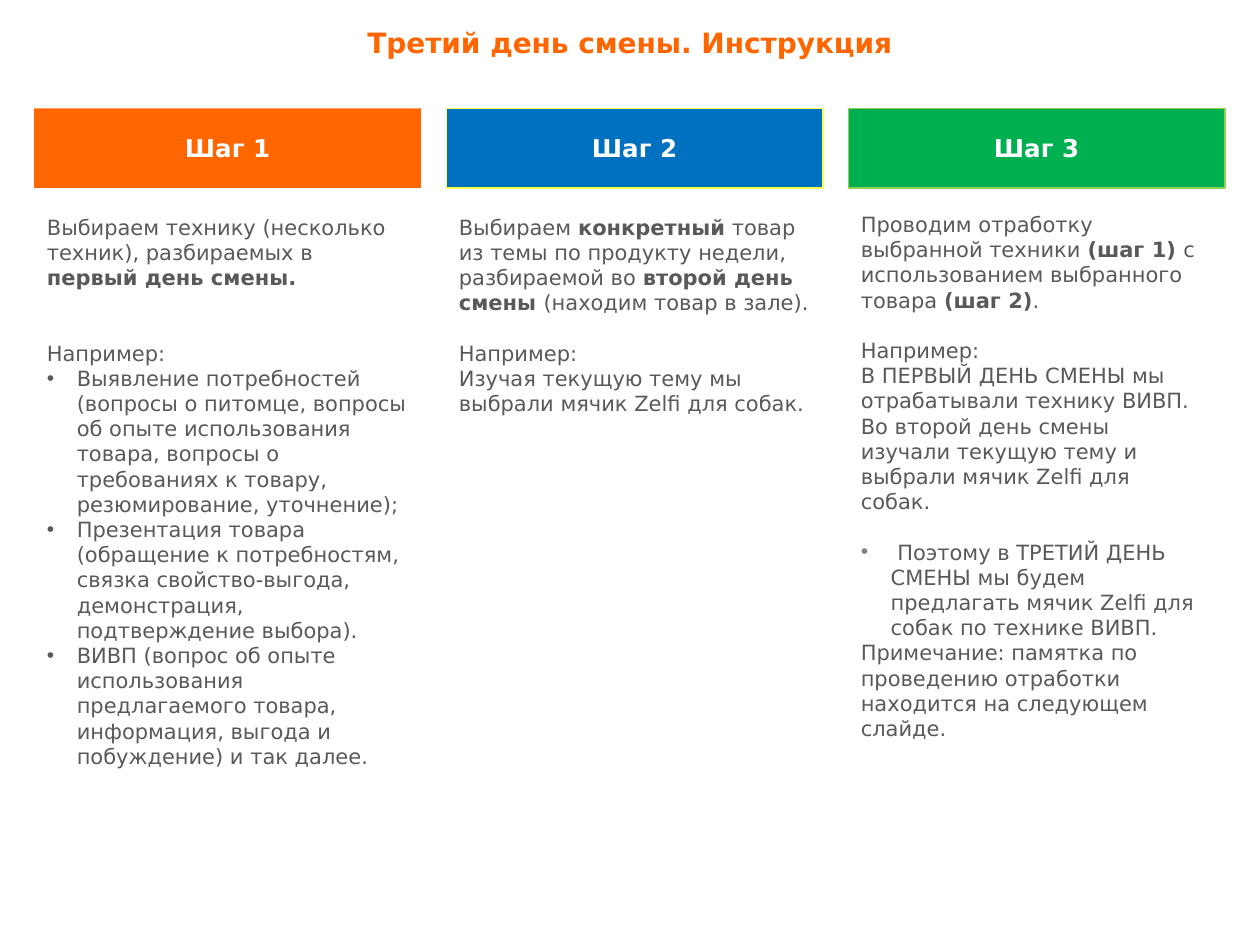
from lxml import etree
from pptx import Presentation
from pptx.dml.color import RGBColor as RGB
from pptx.enum.shapes import MSO_SHAPE as SHAPE
from pptx.enum.text import MSO_ANCHOR as ANCHOR, MSO_AUTO_SIZE as AUTO, PP_ALIGN as ALIGN
from pptx.oxml.ns import qn
from pptx.util import Pt

COLORS = {
    "orange": "FF6600", "blue": "0070C0", "green": "00B050", "yellow": "FFFF47",
    "lime": "92D050", "text": "595959", "gray": "808080", "white": "FFFFFF",
}
FONT = "DejaVu Sans"
LINE = 14.4
INDENT = 17.1


class Deck:
    def __init__(self, width, height):
        self.prs = Presentation()
        self.prs.slide_width, self.prs.slide_height = Pt(width), Pt(height)
        self.slide = self.prs.slides.add_slide(self.prs.slide_layouts[4])

    def color(self, name):
        return RGB.from_string(COLORS[name])

    def style(self, r, size, color, bold=False):
        r.font.name, r.font.size, r.font.bold = FONT, Pt(size), bold
        r.font.color.rgb = self.color(color)

    def place(self, idx, box):
        sp = next(s for s in self.slide.placeholders if s.placeholder_format.idx == idx)
        sp.left, sp.top, sp.width, sp.height = map(Pt, box)
        tf = sp.text_frame
        tf.word_wrap, tf.auto_size, tf.vertical_anchor = True, AUTO.NONE, ANCHOR.TOP
        return tf

    def title(self, text, box):
        tf = self.place(0, box)
        tf.text = text
        p = tf.paragraphs[0]
        p.alignment = ALIGN.CENTER
        self.style(p.runs[0], 16, "orange", True)

    def header(self, text, box, fill, line):
        sp = self.slide.shapes.add_shape(SHAPE.RECTANGLE, *map(Pt, box))
        sp.shadow.inherit = False
        sp.fill.solid()
        sp.fill.fore_color.rgb = self.color(fill)
        if line:
            sp.line.color.rgb = self.color(line)
            sp.line.width = Pt(0.75)
        else:
            sp.line.fill.background()
        tf = sp.text_frame
        tf.text = text
        tf.vertical_anchor = ANCHOR.MIDDLE
        p = tf.paragraphs[0]
        p.alignment = ALIGN.CENTER
        self.style(p.runs[0], 14, "white", True)

    def bullet(self, p, color):
        pPr = p._p.get_or_add_pPr()
        indent = Pt(INDENT) if color else 0
        pPr.set("marL", str(indent))
        pPr.set("indent", str(-indent))
        if color:
            clr = etree.SubElement(pPr, qn("a:buClr"))
            etree.SubElement(clr, qn("a:srgbClr"), val=COLORS[color])
            etree.SubElement(pPr, qn("a:buFont"), typeface="Arial")
            etree.SubElement(pPr, qn("a:buChar"), char="•")
        else:
            etree.SubElement(pPr, qn("a:buNone"))

    def body(self, idx, box, paragraphs):
        tf = self.place(idx, box)
        for i, (gap, bullet, parts) in enumerate(paragraphs):
            p = tf.add_paragraph() if i else tf.paragraphs[0]
            self.bullet(p, bullet)
            p.space_before, p.space_after = Pt(gap * LINE), Pt(0)
            for j, text in enumerate(parts):
                r = p.add_run()
                r.text = text
                self.style(r, 12, "text", j % 2 == 1)

    def drop(self, idx):
        for sp in list(self.slide.placeholders):
            if sp.placeholder_format.idx == idx:
                sp.element.getparent().remove(sp.element)


STEPS = [
    ("Шаг 1", 19.6, 221, "orange", None, 1, 118.8, 221, 357, [
        (0, None, ["Выбираем технику (несколько техник), разбираемых в ",
                   "первый день смены."]),
        (2, None, ["Например:"]),
        (0, "text", ["Выявление потребностей (вопросы о питомце, вопросы об опыте "
                     "использования товара, вопросы о требованиях к товару, "
                     "резюмирование, уточнение);"]),
        (0, "text", ["Презентация товара (обращение к потребностям, связка "
                     "свойство-выгода, демонстрация, подтверждение выбора)."]),
        (0, "text", ["ВИВП (вопрос об опыте использования предлагаемого товара, "
                     "информация, выгода и побуждение) и так далее."]),
    ]),
    ("Шаг 2", 255, 215.3, "blue", "yellow", 2, 118.8, 215.3, 215.3, [
        (0, None, ["Выбираем ", "конкретный",
                   " товар из темы по продукту недели, разбираемой во ",
                   "второй день смены ", "(находим товар в зале)."]),
        (1, None, ["Например:"]),
        (0, None, ["Изучая текущую тему мы выбрали мячик Zelfi для собак."]),
    ]),
    ("Шаг 3", 484.7, 215.3, "green", "lime", 4, 117.2, 209.5, 357, [
        (0, None, ["Проводим отработку выбранной техники ", "(шаг 1) ",
                   "с использованием выбранного товара ", "(шаг 2)", "."]),
        (1, None, ["Например:"]),
        (0, None, ["В ПЕРВЫЙ ДЕНЬ СМЕНЫ мы отрабатывали технику ВИВП. Во второй "
                   "день смены изучали текущую тему и выбрали мячик Zelfi для собак."]),
        (1, "gray", [" Поэтому в ТРЕТИЙ ДЕНЬ СМЕНЫ мы будем предлагать мячик Zelfi "
                     "для собак по технике ВИВП."]),
        (0, None, ["Примечание: памятка по проведению отработки находится на "
                   "следующем слайде."]),
    ]),
]


def main():
    deck = Deck(720, 540)
    deck.title("Третий день смены. Инструкция", (0, 10.8, 720, 26.6))
    for name, left, width, fill, line, idx, top, text_width, height, paragraphs in STEPS:
        deck.header(name, (left, 62, width, 45.4), fill, line)
        deck.body(idx, (left, top, text_width, height), paragraphs)
    deck.drop(3)
    deck.prs.save("out.pptx")


if __name__ == "__main__":
    main()
